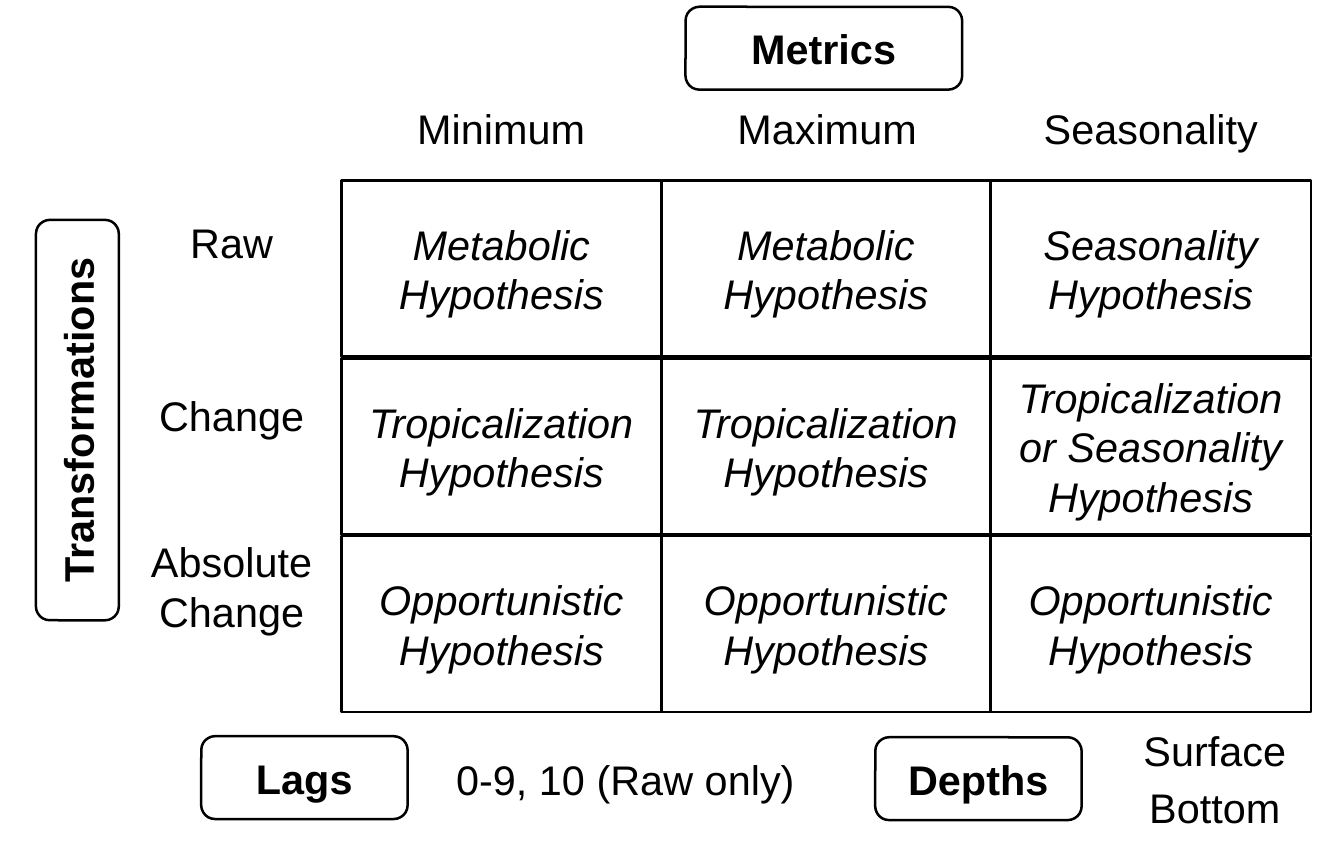
from pptx import Presentation
from pptx.dml import color
from pptx.enum import shapes as sh, text as tx
from pptx.util import Pt

BLACK = "000000"
COLS = [(100.6, 94.4), (195, 96.8), (291.9, 94.4)]
TOP, PITCH, CELL = 53.2, 52.4, 51.9
GRID = [
    ["Metabolic Hypothesis", "Metabolic Hypothesis", "Seasonality Hypothesis"],
    ["Tropicalization Hypothesis", "Tropicalization Hypothesis",
     "Tropicalization or Seasonality Hypothesis"],
    ["Opportunistic Hypothesis"] * 3,
]
HEADS = [("Minimum", 100.6), ("Maximum", 196.6), ("Seasonality", 292)]
ROWS = [("Raw", 62.8, 16.8), ("Change", 114, 16.8),
        ("Absolute Change", 156.2, 33.2)]
DEPTHS = [("Surface", 212.7), ("Bottom", 229.4)]
TITLES = [("Metrics", 202, 2, 81.5), ("Lags", 59.3, 217, 60.8),
          ("Depths", 257.9, 217.3, 60.8)]


def paint(target, tone):
    target.rgb = color.RGBColor.from_string(tone)


def box(slide, kind, words, x, y, w, h, line=True, bold=False, slant=False):
    """Add an unfilled shape with centred text, outlined if line is set."""
    shape = slide.shapes.add_shape(kind, Pt(x), Pt(y), Pt(w), Pt(h))
    shape.shadow.inherit = False
    shape.fill.background()
    if line:
        paint(shape.line.color, BLACK)
        shape.line.width = Pt(0.75)
    else:
        shape.line.fill.background()
    frame = shape.text_frame
    frame.word_wrap = True
    frame.vertical_anchor = tx.MSO_ANCHOR.MIDDLE
    para = frame.paragraphs[0]
    para.alignment = tx.PP_ALIGN.CENTER
    run = para.add_run()
    run.text = words
    font = run.font
    font.name, font.size = "Arial", Pt(12.2)
    font.bold, font.italic = bold, slant
    paint(font.color, BLACK)
    return shape


def cell(slide, words, x, y, w):
    box(slide, sh.MSO_SHAPE.RECTANGLE, words, x, y, w, CELL, slant=True)


def title(slide, words, x, y, w):
    return box(slide, sh.MSO_SHAPE.ROUNDED_RECTANGLE, words, x, y, w, 24.4,
               bold=True)


def label(slide, words, x, y, w, h=16.8):
    """Add plain text without outline or insets."""
    shape = box(slide, sh.MSO_SHAPE.ROUNDED_RECTANGLE, words, x, y, w, h,
                line=False)
    frame = shape.text_frame
    frame.margin_left = frame.margin_right = 0
    frame.margin_top = frame.margin_bottom = 0


def main():
    deck = Presentation()
    deck.slide_width, deck.slide_height = Pt(396), Pt(252)
    slide = deck.slides.add_slide(deck.slide_layouts[6])
    for words, y, h in ROWS:
        label(slide, words, 41.3, y, 54, h)
    for row, names in enumerate(GRID):
        for words, (x, w) in zip(names, COLS):
            cell(slide, words, x, TOP + row * PITCH, w)
    for words, x in HEADS:
        label(slide, words, x, 25.4, 94.4, 24.4)
    for words, x, y, w in TITLES:
        title(slide, words, x, y, w)
    title(slide, "Transformations", -36.2, 111.6, 118).rotation = 270
    label(slide, "0-9, 10 (Raw only)", 132.9, 221.2, 103)
    for words, y in DEPTHS:
        label(slide, words, 331, y, 54)
    deck.save("out.pptx")


if __name__ == "__main__":
    main()
